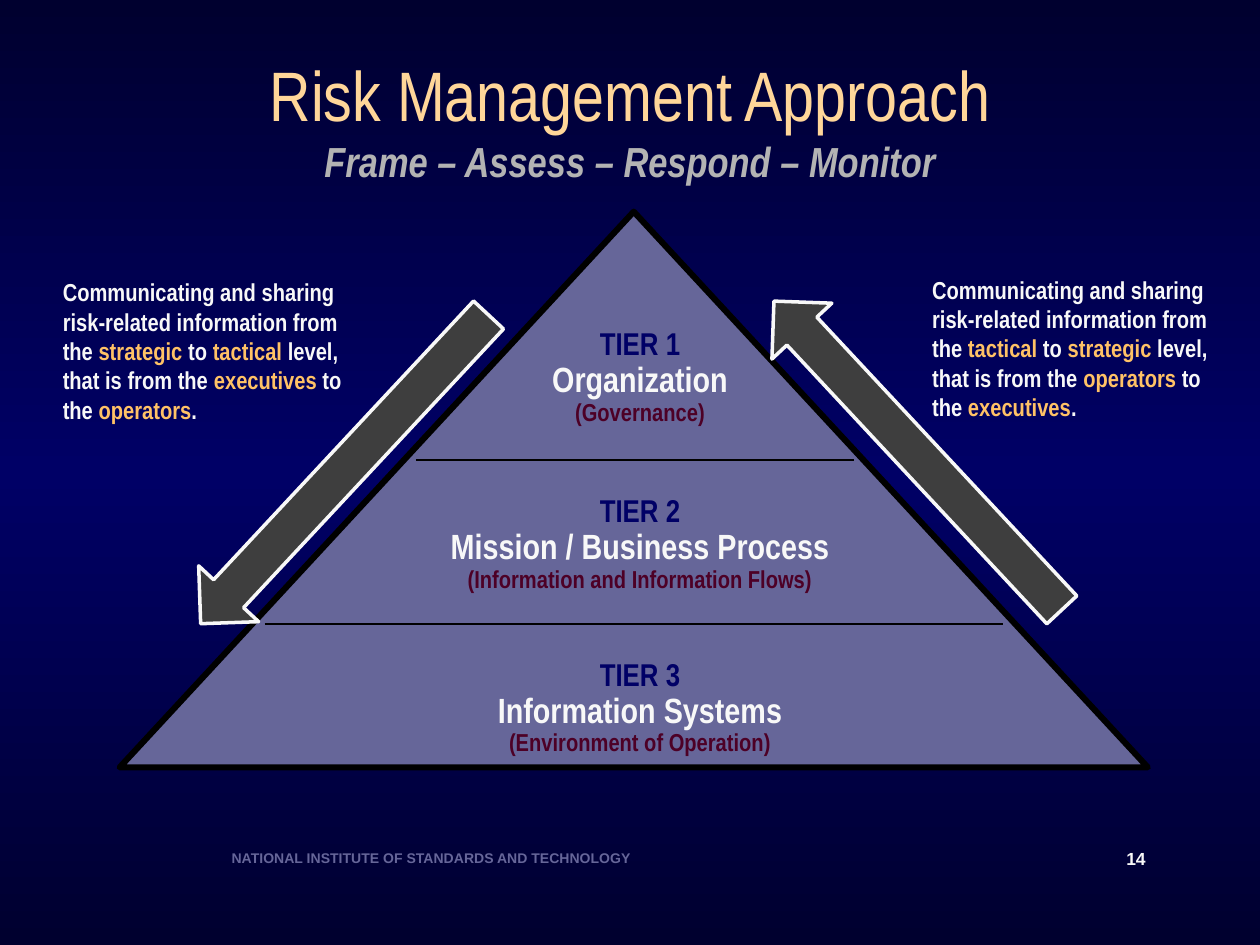
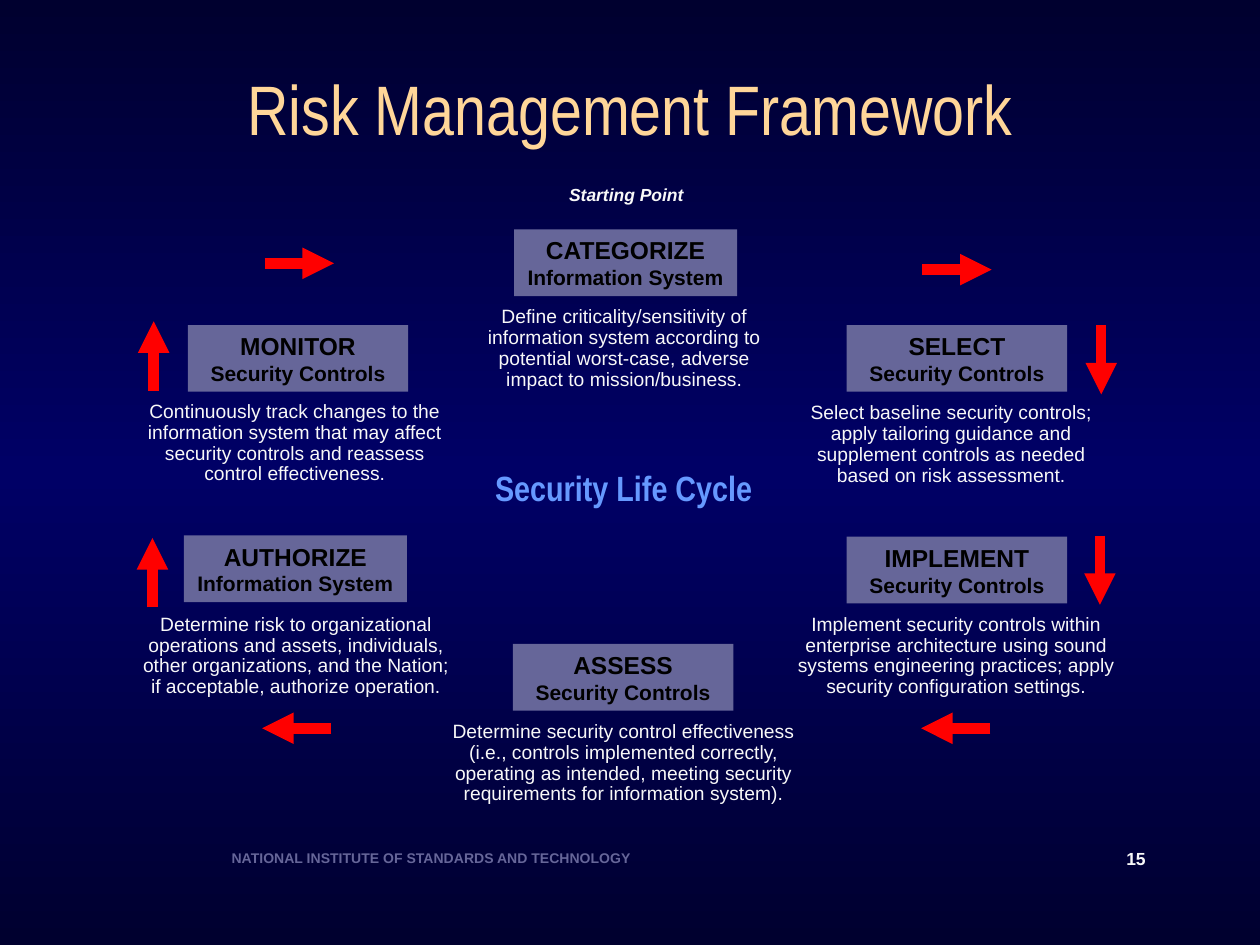
from copy import deepcopy

from lxml.etree import SubElement
from pptx import Presentation
from pptx.dml.color import RGBColor
from pptx.enum.shapes import MSO_CONNECTOR, MSO_SHAPE as SHAPE
from pptx.enum.text import MSO_ANCHOR as ANCHOR, PP_ALIGN as ALIGN
from pptx.oxml.ns import qn
from pptx.util import Inches, Pt

NAVY = RGBColor(0x00, 0x00, 0x66)
MIDNIGHT = RGBColor(0x00, 0x00, 0x2F)
SLATE = RGBColor(0x66, 0x66, 0x99)
WHITE = RGBColor(0xF8, 0xF8, 0xF8)
BLACK = RGBColor(0x00, 0x00, 0x00)
CREAM = RGBColor(0xFF, 0xD6, 0x99)
ORANGE = RGBColor(0xFF, 0xC2, 0x66)
SILVER = RGBColor(0xB3, 0xB3, 0xB3)
CHARCOAL = RGBColor(0x3E, 0x3E, 0x3E)
MAROON = RGBColor(0x4D, 0x00, 0x26)
SKY = RGBColor(0x66, 0x99, 0xFF)
RED = RGBColor(0xFF, 0x00, 0x00)
NARROW = "Arial Narrow"


def write(shape, text, size, color=WHITE, font="Arial", bold=False,
          italic=False, align=ALIGN.CENTER, spacing=None):
    """Append one paragraph per line of text; words between * are orange."""
    frame = shape.text_frame
    frame.word_wrap = True
    for line in text.split("\n"):
        para = frame.paragraphs[0]
        if para.runs:
            para = frame.add_paragraph()
        para.alignment = align
        para.line_spacing = spacing
        for index, part in enumerate(line.split("*")):
            span = para.add_run()
            span.text = part
            span.font.name = font
            span.font.size = Pt(size)
            span.font.bold = bold
            span.font.italic = italic
            span.font.color.rgb = ORANGE if index % 2 else color


def draw_line(page, x1, y1, x2, y2, color, width, arrow=False):
    line = page.shapes.add_connector(
        MSO_CONNECTOR.STRAIGHT, Inches(x1), Inches(y1), Inches(x2), Inches(y2))
    line.line.color.rgb = color
    line.line.width = Pt(width)
    properties = line.element.spPr
    if arrow:
        SubElement(properties.find(qn("a:ln")), qn("a:tailEnd"), type="triangle")
    SubElement(properties, qn("a:effectLst"))


deck = Presentation()
deck.slide_width, deck.slide_height = Inches(10), Inches(7.5)

# Shared background: dark, navy in the middle, dark
master = deck.slide_master
background = master.background.fill
background.gradient()
background.gradient_angle = 270
stop_list = master.element.find(".//" + qn("a:gsLst"))
stop_list.insert(1, deepcopy(stop_list[0]))
for stop, position, color in zip(background.gradient_stops, (0, 0.5, 1),
                                 (MIDNIGHT, NAVY, MIDNIGHT)):
    stop.position = position
    stop.color.rgb = color

# Shared title and footer
pages = []
for number, title, title_height in (
        (14, "Risk Management Approach", 1.18),
        (15, "Risk Management Framework", 1)):
    page = deck.slides.add_slide(deck.slide_layouts[6])
    pages.append(page)
    box = page.shapes.add_textbox(
        Inches(0.6), Inches(0.35), Inches(8.8), Inches(title_height))
    box.text_frame.vertical_anchor = ANCHOR.MIDDLE
    write(box, title, 40, CREAM, NARROW)
    if number == 14:
        write(box, "Frame – Assess – Respond – Monitor", 24, SILVER, NARROW,
              bold=True, italic=True)
    box = page.shapes.add_textbox(
        Inches(1.74), Inches(6.69), Inches(7), Inches(0.23))
    write(box, "NATIONAL INSTITUTE OF STANDARDS AND TECHNOLOGY", 8, SLATE,
          bold=True, align=ALIGN.LEFT)
    box = page.shapes.add_textbox(
        Inches(8.84), Inches(6.68), Inches(0.42), Inches(0.27))
    write(box, str(number), 10, bold=True, align=ALIGN.LEFT)

approach, framework = pages

# Slide 14: pyramid of tiers
pyramid = approach.shapes.add_shape(
    SHAPE.ISOSCELES_TRIANGLE, Inches(0.95), Inches(1.68), Inches(8.16), Inches(4.41))
pyramid.shadow.inherit = False
pyramid.fill.solid()
pyramid.fill.fore_color.rgb = SLATE
pyramid.line.color.rgb = BLACK
pyramid.line.width = Pt(3.5)

draw_line(approach, 3.3, 3.65, 6.78, 3.65, BLACK, 1)
draw_line(approach, 2.1, 4.95, 7.96, 4.95, BLACK, 1)

tiers = (
    (2.56, "TIER 1", "Organization", "(Governance)"),
    (3.88, "TIER 2", "Mission / Business Process",
     "(Information and Information Flows)"),
    (5.18, "TIER 3", "Information Systems", "(Environment of Operation)"),
)
for top, tier, name, scope in tiers:
    box = approach.shapes.add_textbox(
        Inches(2.95), Inches(top), Inches(4.26), Inches(0.9))
    for text, size, color in ((tier, 18, NAVY), (name, 20, WHITE), (scope, 14, MAROON)):
        write(box, text, size, color, NARROW, bold=True, spacing=0.9)

# Slide 14: information flow down the left side and up the right side
flows = (
    (2.41, 2.05, 43, 0.4, 2.15, ("strategic", "tactical", "executives", "operators")),
    (6.96, 1.94, 137, 7.3, 2.13, ("tactical", "strategic", "operators", "executives")),
)
for left, top, angle, text_left, text_top, (start, end, sender, receiver) in flows:
    arrow = approach.shapes.add_shape(
        SHAPE.DOWN_ARROW, Inches(left), Inches(top), Inches(0.65), Inches(3.35))
    arrow.rotation = angle
    arrow.shadow.inherit = False
    arrow.fill.solid()
    arrow.fill.fore_color.rgb = CHARCOAL
    arrow.line.color.rgb = WHITE
    arrow.line.width = Pt(2)
    box = approach.shapes.add_textbox(
        Inches(text_left), Inches(text_top), Inches(2.54), Inches(1.28))
    write(box, "Communicating and sharing risk-related information from the "
          f"*{start}* to *{end}* level, that is from the *{sender}* to the *{receiver}*.",
          14, font=NARROW, bold=True, align=ALIGN.LEFT)

# Slide 15: life cycle steps
SYSTEM, CONTROLS = "Information System", "Security Controls"
steps = (  # step, subject, box left, top, width, text left, top, width, text
    ("CATEGORIZE", SYSTEM, 4.08, 1.82, 1.77, 3.73, 2.39, 2.45,
     "Define criticality/sensitivity of information system according to "
     "potential worst-case, adverse impact to mission/business."),
    ("SELECT", CONTROLS, 6.72, 2.58, 1.75, 6.23, 3.15, 2.64,
     "Select baseline security controls; apply tailoring guidance and "
     "supplement controls as needed based on risk assessment."),
    ("IMPLEMENT", CONTROLS, 6.72, 4.26, 1.75, 6.21, 4.83, 2.76,
     "Implement security controls within enterprise architecture using sound "
     "systems engineering practices; apply security configuration settings."),
    ("ASSESS", CONTROLS, 4.07, 5.11, 1.75, 3.47, 5.68, 2.96,
     "Determine security control effectiveness\n"
     "(i.e., controls implemented correctly, operating as intended, meeting "
     "security requirements for information system)."),
    ("AUTHORIZE", SYSTEM, 1.46, 4.25, 1.77, 0.98, 4.83, 2.74,
     "Determine risk to organizational operations and assets, individuals, "
     "other organizations, and the Nation;\nif acceptable, authorize operation."),
    ("MONITOR", CONTROLS, 1.49, 2.58, 1.75, 1, 3.14, 2.68,
     "Continuously track changes to the information system that may affect "
     "security controls and reassess control effectiveness."),
)
for step, subject, left, top, width, text_left, text_top, text_width, text in steps:
    label = framework.shapes.add_shape(
        SHAPE.RECTANGLE, Inches(left), Inches(top), Inches(width), Inches(0.53))
    label.shadow.inherit = False
    label.fill.solid()
    label.fill.fore_color.rgb = SLATE
    label.line.fill.background()
    label.text_frame.margin_left = label.text_frame.margin_right = Inches(0.05)
    write(label, step, 14, BLACK, bold=True)
    write(label, subject, 12, BLACK, bold=True)
    box = framework.shapes.add_textbox(
        Inches(text_left), Inches(text_top), Inches(text_width), Inches(0.76))
    write(box, text, 11, spacing=0.9)

box = framework.shapes.add_textbox(
    Inches(4.26), Inches(1.41), Inches(1.42), Inches(0.27))
write(box, "Starting Point", 10, bold=True, italic=True)
box = framework.shapes.add_textbox(
    Inches(3.69), Inches(3.65), Inches(2.52), Inches(0.43))
write(box, "Security Life Cycle", 20, SKY, NARROW, bold=True)

# Slide 15: arrows around the cycle, by start and direction
ARROW_LENGTH = 0.55
for x, y, across, down in (
        (2.1, 2.09, 1, 0), (7.32, 2.14, 1, 0),
        (8.74, 2.58, 0, 1), (8.73, 4.25, 0, 1),
        (7.86, 5.78, -1, 0), (2.63, 5.78, -1, 0),
        (1.21, 4.82, 0, -1), (1.22, 3.1, 0, -1)):
    draw_line(framework, x, y, x + across * ARROW_LENGTH, y + down * ARROW_LENGTH,
              RED, 6, arrow=True)

deck.save("out.pptx")
